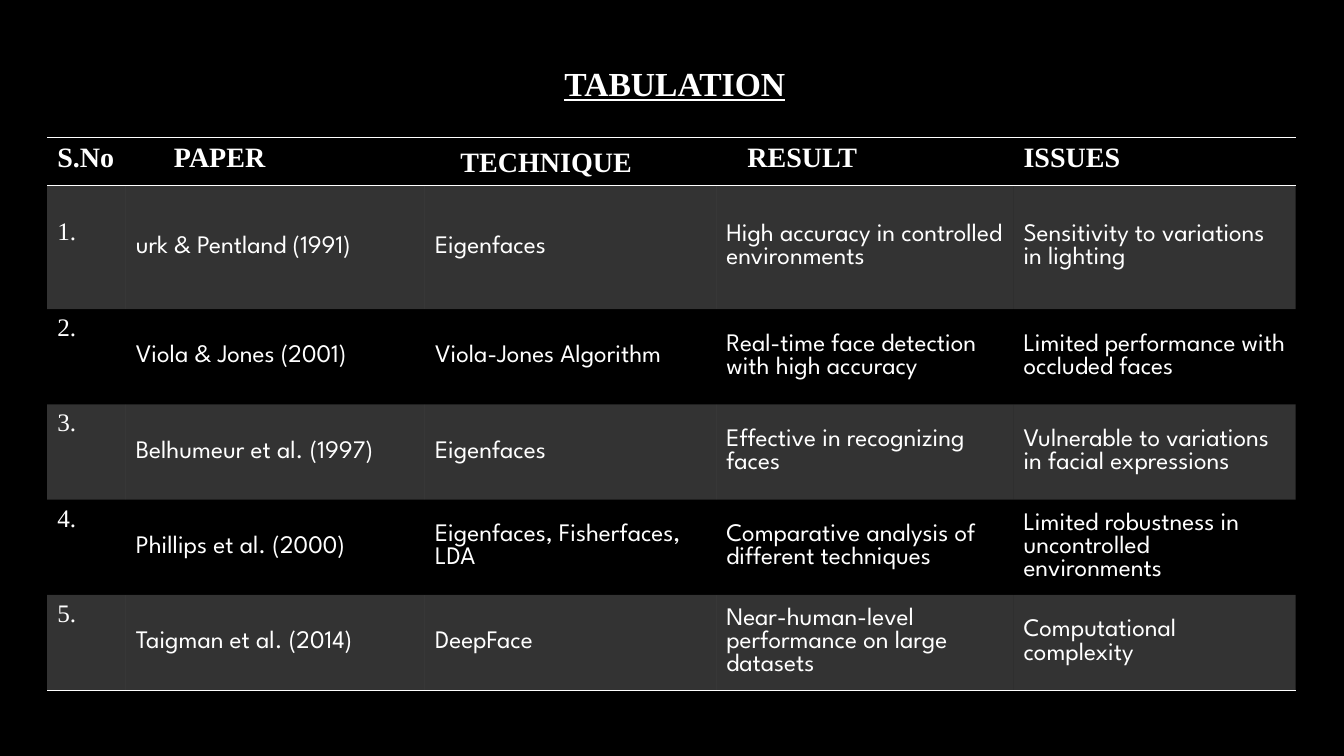
from lxml import etree
from pptx import Presentation
from pptx.dml.color import RGBColor
from pptx.enum.text import MSO_ANCHOR, MSO_AUTO_SIZE, PP_ALIGN
from pptx.oxml.ns import qn
from pptx.util import Cm, Pt

TOP, MIDDLE = MSO_ANCHOR.TOP, MSO_ANCHOR.MIDDLE
LEFT = PP_ALIGN.LEFT
NO_AUTOSIZE = MSO_AUTO_SIZE.NONE

WHITE, BLACK = "FFFFFF", "000000"
SERIF, SANS = "Times New Roman", "League Spartan"
PLAIN_TABLE_STYLE = "{2D5ABB26-0587-4C30-8999-92F81FD0307C}"
BAND_OPACITY = 20

COLUMN_WIDTHS = [1.98, 7.54, 7.34, 7.49, 7.11]
ROW_HEIGHTS = [1.2, 3.12] + [2.4] * 4
# Heading, extra left margin and extra top margin in centimetres
HEADINGS = [
    ("S.No", 0, 0),
    ("PAPER", 0.96, 0),
    ("TECHNIQUE", 0.64, 0.13),
    ("RESULT", 0.53, 0),
    ("ISSUES", 0, 0),
]
STUDIES = [
    ("urk & Pentland (1991)", "Eigenfaces",
     "High accuracy in controlled environments",
     "Sensitivity to variations in lighting"),
    ("Viola & Jones (2001)", "Viola-Jones Algorithm",
     "Real-time face detection with high accuracy",
     "Limited performance with occluded faces"),
    ("Belhumeur et al. (1997)", "Eigenfaces",
     "Effective in recognizing faces",
     "Vulnerable to variations in facial expressions"),
    ("Phillips et al. (2000)", "Eigenfaces, Fisherfaces, LDA",
     "Comparative analysis of different techniques",
     "Limited robustness in uncontrolled environments"),
    ("Taigman et al. (2014)", "DeepFace",
     "Near-human-level performance on large datasets",
     "Computational complexity"),
]


def color(value):
    return RGBColor.from_string(value)


def format_text(frame, size, font, bold=False, underline=False):
    for para in frame.paragraphs:
        para.alignment = LEFT
        for span in para.runs:
            span.font.size = Pt(size)
            span.font.name = font
            span.font.bold = bold
            span.font.underline = underline
            span.font.color.rgb = color(WHITE)


def add_title(page, text):
    title = page.shapes.title
    title.left, title.top = Cm(13.97), Cm(1.45)
    title.width, title.height = Cm(6.83), Cm(1.27)
    frame = title.text_frame
    frame.text = text
    frame.auto_size = NO_AUTOSIZE
    frame.vertical_anchor = TOP
    format_text(frame, 24, SERIF, bold=True, underline=True)


def fill_cell(cell, banded):
    """Give banded cells a translucent white fill and leave the others clear."""
    if not banded:
        cell.fill.background()
        return
    cell.fill.solid()
    cell.fill.fore_color.rgb = color(WHITE)
    tint = cell._tc.tcPr.find(".//" + qn("a:srgbClr"))
    etree.SubElement(tint, qn("a:alpha"), val=str(BAND_OPACITY * 1000))


def add_borders(cell, sides):
    """Rule the given sides; line elements must come before the fill."""
    properties = cell._tc.get_or_add_tcPr()
    for index, side in enumerate(sides):
        line = etree.Element(qn("a:ln" + side), w=str(Pt(1)))
        fill = etree.SubElement(line, qn("a:solidFill"))
        etree.SubElement(fill, qn("a:srgbClr"), val=WHITE)
        properties.insert(index, line)


def add_table(page):
    frame = page.shapes.add_table(
        len(ROW_HEIGHTS), len(COLUMN_WIDTHS), Cm(1.19), Cm(3.47),
        Cm(sum(COLUMN_WIDTHS)), Cm(sum(ROW_HEIGHTS)))
    table = frame.table
    table._tbl.tblPr.find(qn("a:tableStyleId")).text = PLAIN_TABLE_STYLE
    table.horz_banding = False
    for column, width in zip(table.columns, COLUMN_WIDTHS):
        column.width = Cm(width)
    for row, height in zip(table.rows, ROW_HEIGHTS):
        row.height = Cm(height)
    return table


def write_headings(table):
    for cell, (text, indent, drop) in zip(table.rows[0].cells, HEADINGS):
        cell.text_frame.text = text
        format_text(cell.text_frame, 20, SERIF, bold=True)
        cell.margin_left += Cm(indent)
        cell.margin_top += Cm(drop)
        fill_cell(cell, banded=False)
        add_borders(cell, "TB")


def write_studies(table):
    for number, study in enumerate(STUDIES, start=1):
        values = (f"{number}.",) + study
        for column, text in enumerate(values):
            cell = table.cell(number, column)
            cell.text_frame.text = text
            cell.vertical_anchor = MIDDLE if column else TOP
            format_text(cell.text_frame, 18, SANS if column else SERIF)
            fill_cell(cell, banded=number % 2 == 1)
            if number == len(STUDIES):
                add_borders(cell, "B")
    table.cell(1, 0).margin_top += Cm(0.7)


def main():
    deck = Presentation()
    deck.slide_width, deck.slide_height = Cm(33.87), Cm(19.05)
    page = deck.slides.add_slide(deck.slide_layouts.get_by_name("Title Only"))
    page.background.fill.solid()
    page.background.fill.fore_color.rgb = color(BLACK)
    table = add_table(page)
    write_headings(table)
    write_studies(table)
    add_title(page, "TABULATION")
    deck.save("out.pptx")


if __name__ == "__main__":
    main()
